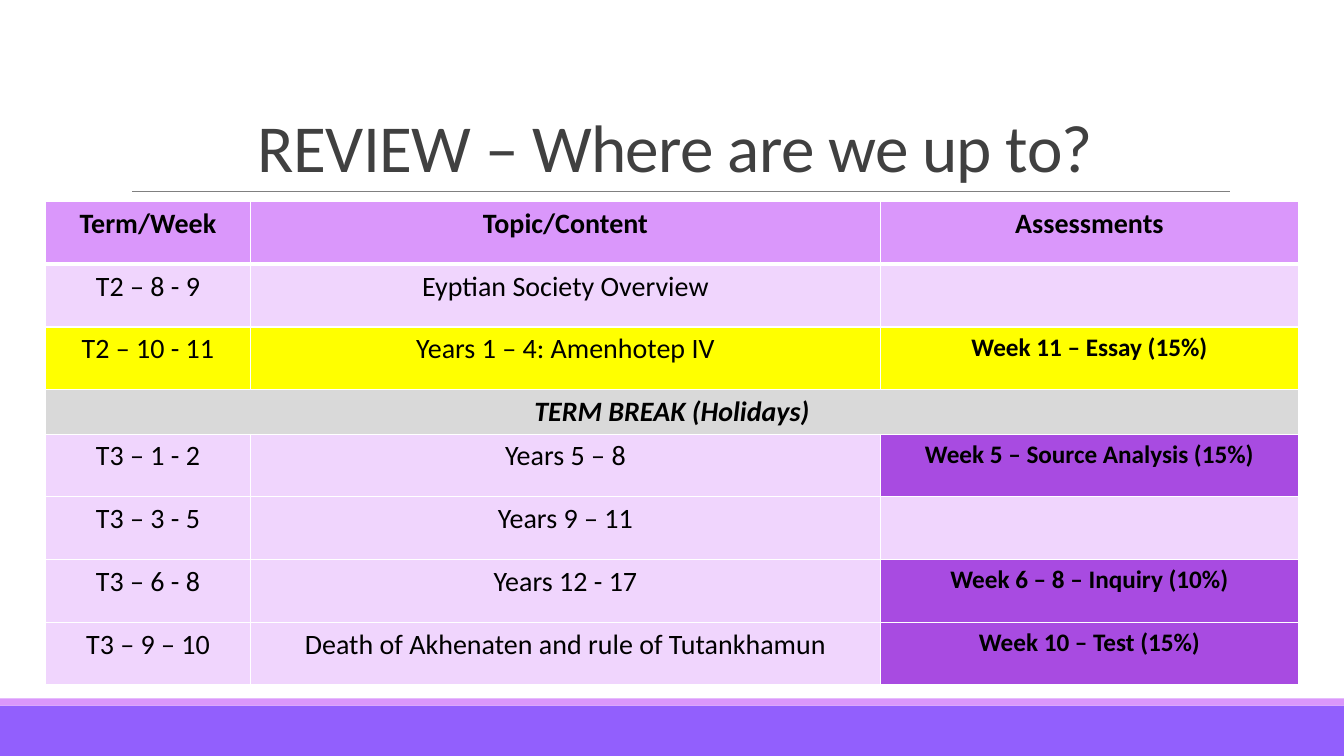
from dataclasses import dataclass

from lxml.etree import SubElement
from pptx import Presentation
from pptx.dml.color import RGBColor
from pptx.enum.shapes import MSO_CONNECTOR, MSO_SHAPE
from pptx.enum.text import MSO_ANCHOR, PP_ALIGN
from pptx.oxml.ns import qn
from pptx.util import Cm, Pt


@dataclass(frozen=True)
class Theme:
    font: str = "Calibri"
    title_size: int = 48
    cell_size: int = 20
    assessment_size: int = 18
    title_color: str = "404040"
    text: str = "000000"
    rule: str = "808080"
    border: str = "FFFFFF"
    footer: str = "925FFD"
    header: str = "DA97FB"
    plain: str = "F0D5FD"
    current: str = "FFFF00"
    holiday: str = "D9D9D9"
    assessed: str = "A84BE1"


class SlideBuilder:
    def __init__(self, slide, theme):
        self.slide = slide
        self.theme = theme

    def format_text(self, text_frame, size, color, bold=False, italic=False):
        paragraph = text_frame.paragraphs[0]
        paragraph.alignment = PP_ALIGN.CENTER
        for run in paragraph.runs:
            font = run.font
            font.name, font.size = self.theme.font, Pt(size)
            font.bold, font.italic = bold, italic
            font.color.rgb = RGBColor.from_string(color)

    def band(self, top, height, color):
        shape = self.slide.shapes.add_shape(
            MSO_SHAPE.RECTANGLE, 0, Cm(top), Cm(33.87), Cm(height))
        shape.shadow.inherit = False
        shape.fill.solid()
        shape.fill.fore_color.rgb = RGBColor.from_string(color)
        shape.line.fill.background()

    def rule(self, left, right, top):
        line = self.slide.shapes.add_connector(
            MSO_CONNECTOR.STRAIGHT, Cm(left), Cm(top), Cm(right), Cm(top))
        line.line.color.rgb = RGBColor.from_string(self.theme.rule)
        line.line.width = Pt(0.5)
        SubElement(line._element.spPr, qn("a:effectLst"))

    def title(self, text, left, top, width, height):
        title = self.slide.shapes.title
        title.left, title.top = Cm(left), Cm(top)
        title.width, title.height = Cm(width), Cm(height)
        frame = title.text_frame
        frame.text = text
        frame.word_wrap = True
        frame.vertical_anchor = MSO_ANCHOR.BOTTOM
        paragraph = frame.paragraphs[0]
        paragraph.line_spacing = 0.85
        self.format_text(frame, self.theme.title_size, self.theme.title_color)
        paragraph.runs[0]._r.get_or_add_rPr().set("spc", "-50")

    def cell(self, cell, text, fill, size, bold=False, italic=False, top=1, bottom=1):
        """Fill one cell; top and bottom are border widths in points."""
        cell.text_frame.text = text
        self.format_text(cell.text_frame, size, self.theme.text, bold, italic)
        properties = cell._tc.get_or_add_tcPr()
        for side, width in (("L", 1), ("R", 1), ("T", top), ("B", bottom)):
            border = SubElement(properties, qn(f"a:ln{side}"), w=str(Pt(width)))
            solid = SubElement(border, qn("a:solidFill"))
            SubElement(solid, qn("a:srgbClr"), val=self.theme.border)
        cell.fill.solid()
        cell.fill.fore_color.rgb = RGBColor.from_string(fill)

    def schedule(self, header, rows, left, top, widths, row_height, break_height):
        """Draw the program table; a row with one entry spans all columns."""
        theme = self.theme
        table = self.slide.shapes.add_table(
            len(rows) + 1, len(widths), Cm(left), Cm(top), Cm(sum(widths)),
            Cm(row_height * (len(rows) + 1))).table
        table.first_row = table.horz_banding = False
        for column, width in zip(table.columns, widths):
            column.width = Cm(width)
        for column, text in enumerate(header):
            self.cell(table.cell(0, column), text, theme.header,
                      theme.cell_size, bold=True, bottom=3)
        for index, (fill, *texts) in enumerate(rows, 1):
            is_break = len(texts) == 1
            table.rows[index].height = Cm(break_height if is_break else row_height)
            if is_break:
                table.cell(index, 0).merge(table.cell(index, len(widths) - 1))
            for column, text in enumerate(texts):
                is_assessment = column == len(widths) - 1
                has_assessment = is_assessment and text and fill == theme.plain
                self.cell(
                    table.cell(index, column), text,
                    theme.assessed if has_assessment else fill,
                    theme.assessment_size if is_assessment else theme.cell_size,
                    bold=is_assessment or is_break, italic=is_break,
                    top=3 if index == 1 else 1)


def main():
    theme = Theme()
    presentation = Presentation()
    presentation.slide_width, presentation.slide_height = Cm(33.87), Cm(19.05)
    slide = presentation.slides.add_slide(presentation.slide_layouts[5])
    builder = SlideBuilder(slide, theme)

    builder.band(17.78, 1.27, theme.footer)
    builder.band(17.6, 0.18, theme.header)
    builder.rule(3.33, 31, 4.83)
    builder.title("REVIEW – Where are we up to?", 3.05, 0.79, 27.94, 4.04)
    builder.schedule(
        ("Term/Week", "Topic/Content", "Assessments"),
        [
            (theme.plain, "T2 – 8 - 9", "Eyptian Society Overview", ""),
            (theme.current, "T2 – 10 - 11", "Years 1 – 4: Amenhotep IV",
             "Week 11 – Essay (15%)"),
            (theme.holiday, "TERM BREAK (Holidays)"),
            (theme.plain, "T3 – 1 - 2", "Years 5 – 8", "Week 5 – Source Analysis (15%)"),
            (theme.plain, "T3 – 3 - 5", "Years 9 – 11", ""),
            (theme.plain, "T3 – 6 - 8", "Years 12 - 17", "Week 6 – 8 – Inquiry (10%)"),
            (theme.plain, "T3 – 9 – 10", "Death of Akhenaten and rule of Tutankhamun",
             "Week 10 – Test (15%)"),
        ],
        left=1.15, top=5.08, widths=(5.16, 15.88, 10.53),
        row_height=1.58, break_height=1.12)
    presentation.save("out.pptx")


if __name__ == "__main__":
    main()
